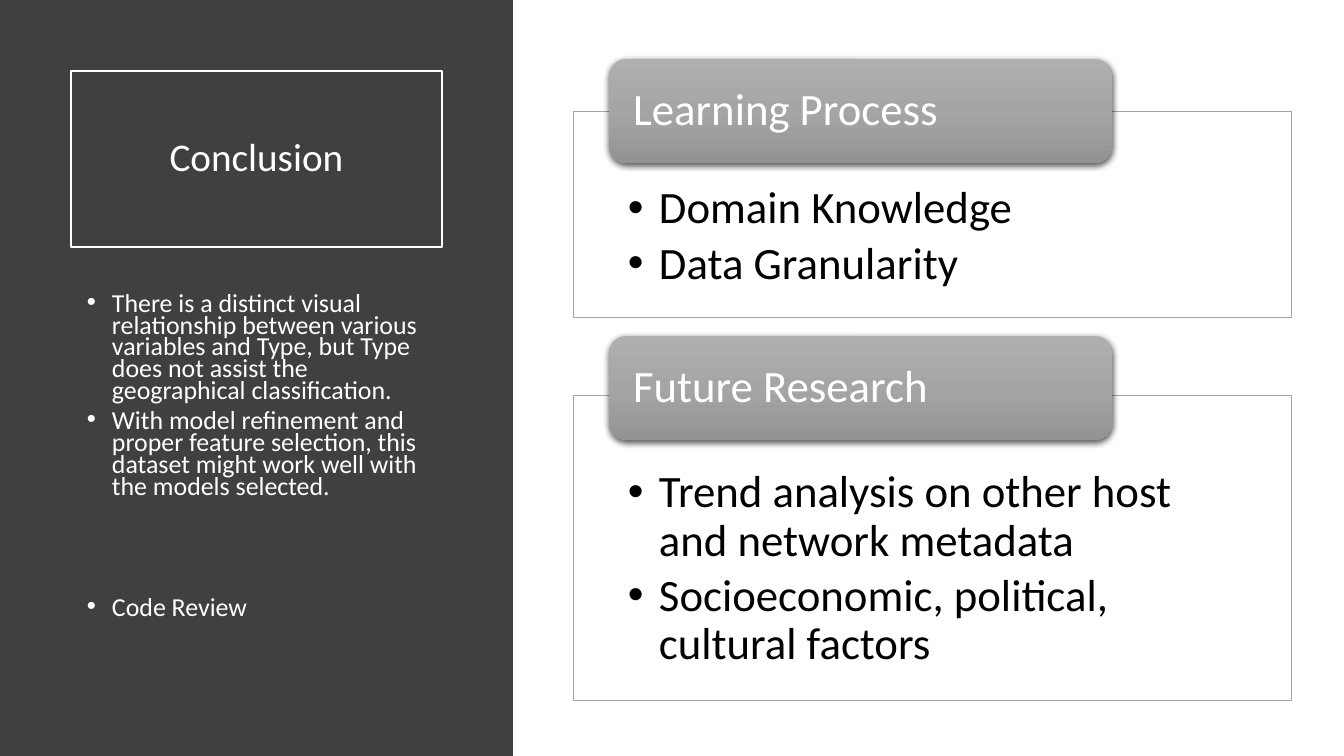
from lxml import etree
from pptx import Presentation
from pptx.dml.color import RGBColor
from pptx.enum.shapes import MSO_SHAPE
from pptx.enum.text import MSO_ANCHOR, PP_ALIGN
from pptx.oxml import parse_xml
from pptx.oxml.ns import nsdecls, qn
from pptx.util import Emu, Pt

RECT, ROUNDED = MSO_SHAPE.RECTANGLE, MSO_SHAPE.ROUNDED_RECTANGLE
TOP, MIDDLE = MSO_ANCHOR.TOP, MSO_ANCHOR.MIDDLE
LEFT, CENTER = PP_ALIGN.LEFT, PP_ALIGN.CENTER
WHITE = RGBColor(0xFF, 0xFF, 0xFF)
BLACK = RGBColor(0, 0, 0)
CHARCOAL = RGBColor(0x40, 0x40, 0x40)
GRAY = RGBColor(0xA5, 0xA5, 0xA5)
PILL_STOPS = [(0, "AFAFAF"), (50000, "A5A5A5"), (100000, "939393")]
PIXEL = 914400 / 100.8


def px(value):
    return Emu(round(value * PIXEL))


def add_box(kind, bounds, fill=None, line=None, width=0.5):
    box = page.shapes.add_shape(kind, *map(px, bounds))
    box.shadow.inherit = False
    if fill is None:
        box.fill.background()
    else:
        box.fill.solid()
        box.fill.fore_color.rgb = fill
    if line is None:
        box.line.fill.background()
    else:
        box.line.color.rgb = line
        box.line.width = Pt(width)
    return box


def write(box, lines, size, color, insets=(10, 5, 10, 5), anchor=TOP,
          align=LEFT, spacing=0.9, after=0, indent=None):
    frame = box.text_frame
    frame.word_wrap = True
    frame.vertical_anchor = anchor
    frame.margin_left, frame.margin_top, frame.margin_right, frame.margin_bottom = map(px, insets)
    frame.text = "\n".join(lines)
    for para in frame.paragraphs:
        para.alignment = align
        para.line_spacing = spacing
        para.space_before = Pt(0)
        para.space_after = Pt(after)
        para.font.size = Pt(size)
        for span in para.runs:
            span.font.size = Pt(size)
            span.font.name = "Calibri"
            span.font.color.rgb = color
        if indent:
            margin, hanging = indent
            props = para._p.get_or_add_pPr()
            props.set("marL", str(px(margin)))
            props.set("indent", str(-px(hanging)))
            bullet_font = parse_xml(f'<a:buFont {nsdecls("a")} typeface="Arial"/>')
            bullet = parse_xml(f'<a:buChar {nsdecls("a")} char="•"/>')
            defaults = props.find(qn("a:defRPr"))
            defaults.addprevious(bullet_font)
            defaults.addprevious(bullet)


deck = Presentation()
deck.slide_width, deck.slide_height = px(1344), px(756)
page = deck.slides.add_slide(deck.slide_layouts[6])

add_box(RECT, (0, 0, 513, 756), CHARCOAL)

title = add_box(RECT, (71, 71, 371, 176), line=WHITE, width=1.5)
write(title, ["Conclusion"], 28, WHITE, anchor=MIDDLE, align=CENTER)

findings = page.shapes.add_textbox(*map(px, (71, 290, 371, 377)))
write(findings, [
    "There is a distinct visual relationship between various variables and Type, "
    "but Type does not assist the geographical classification.",
    "With model refinement and proper feature selection, this dataset might work "
    "well with the models selected.",
    "Code Review",
], 18.5, WHITE, spacing=0.7, after=6, indent=(31, 25))
findings.text_frame.paragraphs[-1].space_before = Pt(65)

sections = [
    ("Learning Process", 59, 111, 206, ["Domain Knowledge", "Data Granularity"]),
    ("Future Research", 336, 395, 305, [
        "Trend analysis on other host and network metadata",
        "Socioeconomic, political, cultural factors",
    ]),
]
for heading, pill_top, frame_top, frame_height, points in sections:
    frame_box = add_box(RECT, (573, frame_top, 718, frame_height), WHITE, GRAY)
    write(frame_box, points, 32, BLACK, insets=(55, 74, 55, 25), after=5, indent=(31, 31))

    pill = add_box(ROUNDED, (609, pill_top, 503, 104), GRAY)
    pill.fill.gradient()
    pill.fill.gradient_angle = 270
    stops = pill._element.spPr.find(qn("a:gradFill")).find(qn("a:gsLst"))
    for stop in list(stops):
        stops.remove(stop)
    for position, color in PILL_STOPS:
        stop = etree.SubElement(stops, qn("a:gs"), pos=str(position))
        etree.SubElement(stop, qn("a:srgbClr"), val=color)
    effects = pill._element.spPr.find(qn("a:effectLst"))
    shadow = etree.SubElement(effects, qn("a:outerShdw"), blurRad=str(Pt(4.5)),
                              dist=str(Pt(1.5)), dir="5400000", rotWithShape="0")
    shade = etree.SubElement(shadow, qn("a:srgbClr"), val="000000")
    etree.SubElement(shade, qn("a:alpha"), val="63000")
    write(pill, [heading], 32, WHITE, insets=(19, 0, 19, 0), anchor=MIDDLE)

deck.save("out.pptx")
